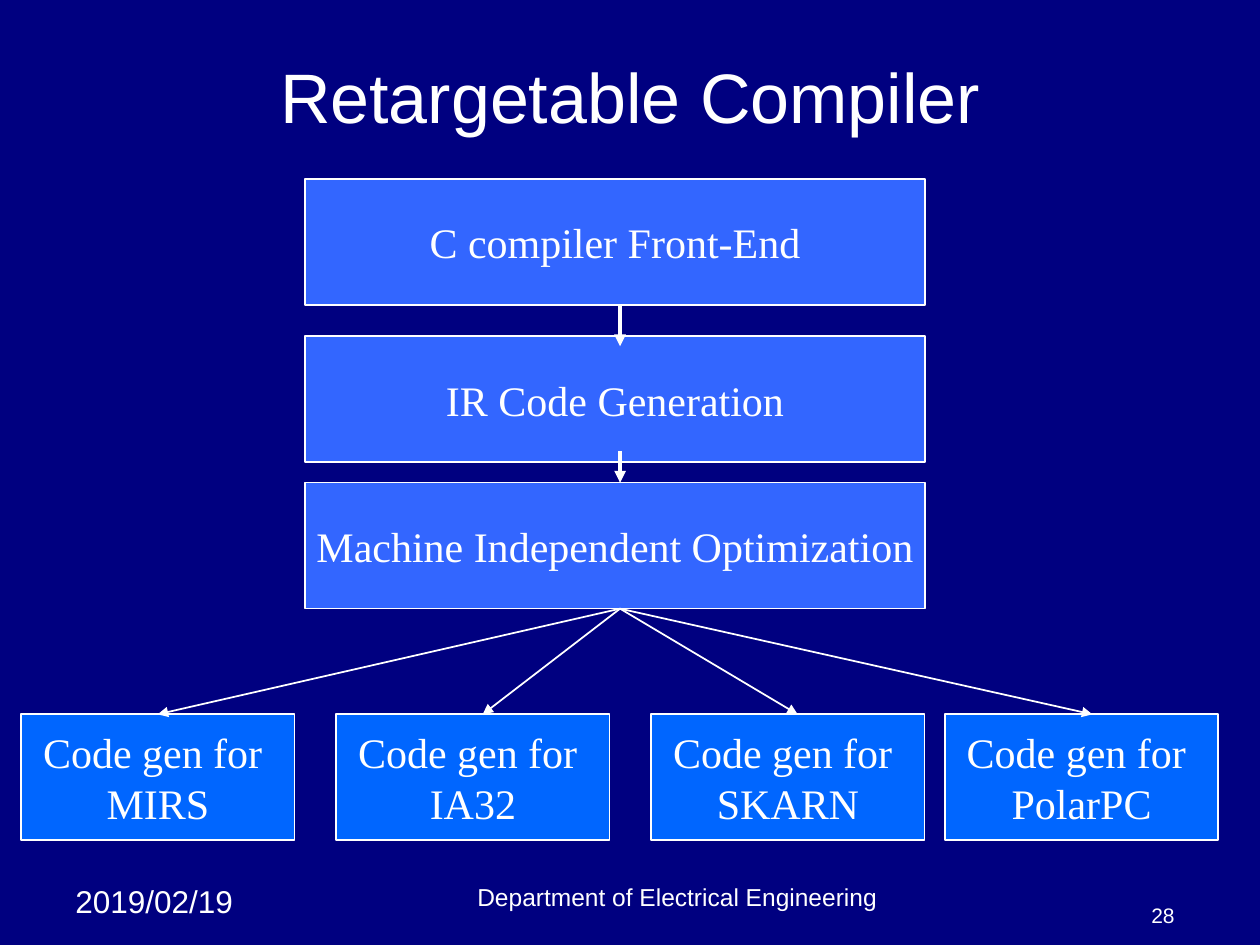
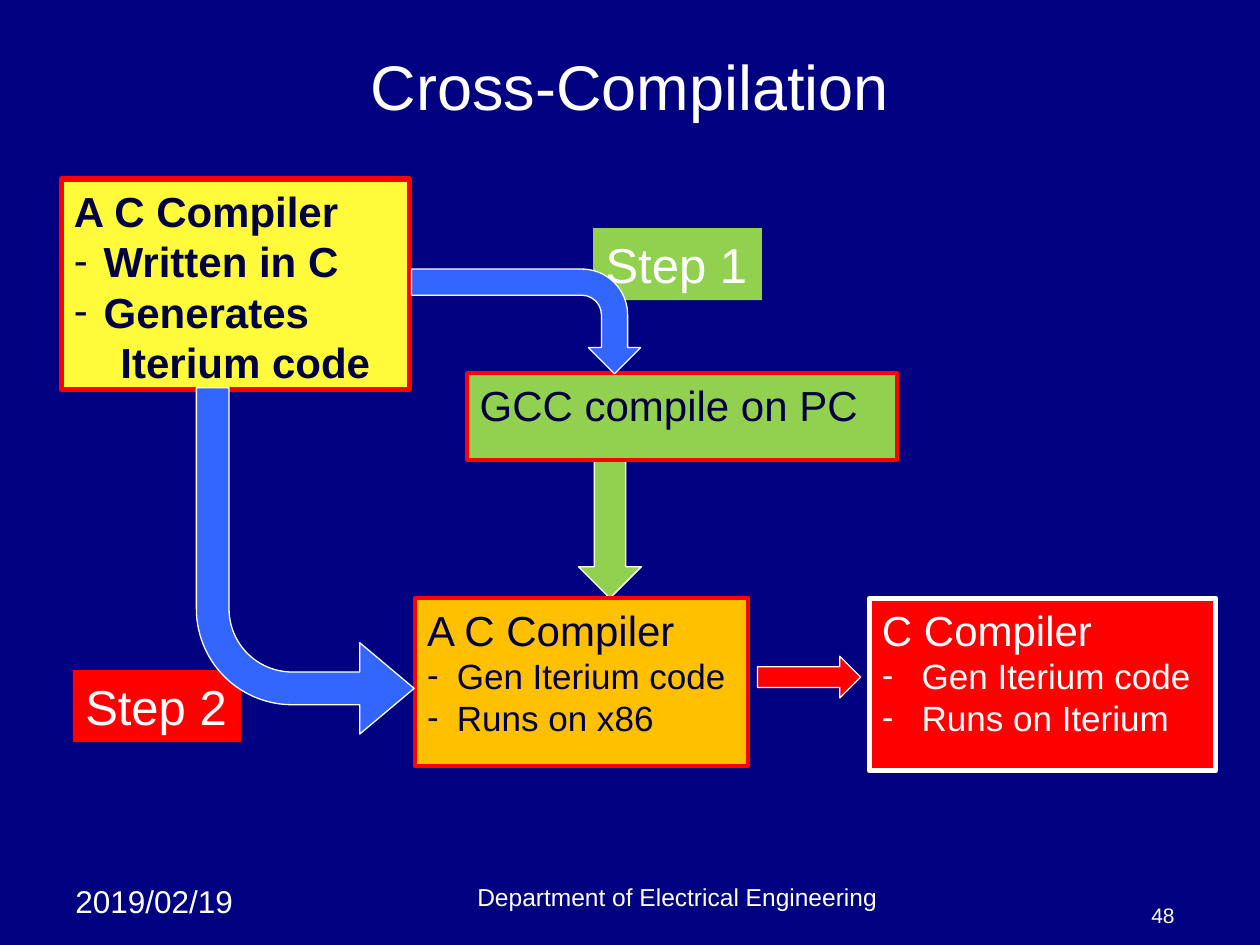
from dataclasses import dataclass
from typing import Any, Optional

import pptx
import pptx.dml.color
import pptx.enum.shapes
import pptx.enum.text
import pptx.oxml.ns
import pptx.util
from lxml import etree

Cm = pptx.util.Cm
Pt = pptx.util.Pt
RGBColor = pptx.dml.color.RGBColor
Shape = pptx.enum.shapes.MSO_SHAPE
Align = pptx.enum.text.PP_ALIGN
Anchor = pptx.enum.text.MSO_ANCHOR
qn = pptx.oxml.ns.qn

NAVY = RGBColor(0x00, 0x00, 0x80)
INK = RGBColor(0x00, 0x00, 0x40)
WHITE = RGBColor(0xFF, 0xFF, 0xFF)
BLUE = RGBColor(0x33, 0x66, 0xFF)
BRIGHT_BLUE = RGBColor(0x00, 0x66, 0xFF)
YELLOW = RGBColor(0xFF, 0xFB, 0x3B)
GREEN = RGBColor(0x92, 0xD0, 0x50)
AMBER = RGBColor(0xFF, 0xC0, 0x00)
RED = RGBColor(0xFF, 0x00, 0x00)

SANS = "Arial"
SERIF = "Times New Roman"


@dataclass(frozen=True)
class Frame:
    """A position and size in centimetres."""
    left: float
    top: float
    width: float
    height: float

    def lengths(self) -> tuple:
        return Cm(self.left), Cm(self.top), Cm(self.width), Cm(self.height)


@dataclass(frozen=True)
class Line:
    """One paragraph; a dash bullet hangs in the indent (centimetres)."""
    text: str
    size: float = 24
    indent: float = 0
    dash: bool = False


@dataclass(frozen=True)
class TextStyle:
    color: RGBColor = WHITE
    font: str = SANS
    bold: bool = False
    align: Any = Align.LEFT
    anchor: Any = Anchor.TOP
    wrap: bool = True


@dataclass(frozen=True)
class Box:
    frame: Frame
    fill: RGBColor
    lines: tuple[Line, ...]
    style: TextStyle
    border: Optional[RGBColor] = None
    border_width: float = 1


@dataclass(frozen=True)
class BlockArrow:
    frame: Frame
    kind: Any
    fill: RGBColor
    rotation: float = 0
    flipped: bool = False
    adjustments: tuple[float, ...] = ()


@dataclass(frozen=True)
class Arrow:
    start: tuple[float, float]
    end: tuple[float, float]
    width: float


CENTERED = TextStyle(align=Align.CENTER, anchor=Anchor.MIDDLE)
STAGE_TEXT = TextStyle(font=SERIF, align=Align.CENTER, anchor=Anchor.MIDDLE, wrap=False)
FOOTER_TEXT = TextStyle(align=Align.CENTER, anchor=Anchor.BOTTOM)
NUMBER_TEXT = TextStyle(align=Align.RIGHT, anchor=Anchor.BOTTOM)
DARK_TEXT = TextStyle(color=INK)
STEP_TEXT = TextStyle(wrap=False)


def assign(target: Any, values: dict[str, Any]) -> None:
    for name, value in values.items():
        setattr(target, name, value)


def add_dash(para: Any, indent: float) -> None:
    properties = para._p.get_or_add_pPr()
    properties.set("indent", str(-Cm(indent)))
    etree.SubElement(properties, qn("a:buFont")).set("typeface", SANS)
    etree.SubElement(properties, qn("a:buChar")).set("char", "-")


def write_lines(shape: Any, lines: tuple[Line, ...], style: TextStyle) -> None:
    frame = shape.text_frame
    assign(frame, {"word_wrap": style.wrap, "vertical_anchor": style.anchor})
    for number, line in enumerate(lines):
        para = frame.add_paragraph() if number else frame.paragraphs[0]
        para.alignment = style.align
        if line.indent:
            para._p.get_or_add_pPr().set("marL", str(Cm(line.indent)))
        if line.dash:
            add_dash(para, line.indent)
        span = para.add_run()
        span.text = line.text
        assign(span.font, {"name": style.font, "size": Pt(line.size), "bold": style.bold})
        span.font.color.rgb = style.color


def add_label(page: Any, frame: Frame, text: str, size: float, style: TextStyle) -> None:
    label = page.shapes.add_textbox(*frame.lengths())
    write_lines(label, (Line(text, size),), style)


def paint(shape: Any, fill: RGBColor, border: Optional[RGBColor], width: float) -> None:
    shape.shadow.inherit = False
    shape.fill.solid()
    shape.fill.fore_color.rgb = fill
    if border is None:
        shape.line.fill.background()
    else:
        shape.line.color.rgb = border
        shape.line.width = Pt(width)


def add_box(page: Any, box: Box) -> None:
    shape = page.shapes.add_shape(Shape.RECTANGLE, *box.frame.lengths())
    paint(shape, box.fill, box.border, box.border_width)
    write_lines(shape, box.lines, box.style)


def add_block_arrow(page: Any, arrow: BlockArrow) -> None:
    shape = page.shapes.add_shape(arrow.kind, *arrow.frame.lengths())
    paint(shape, arrow.fill, WHITE, 0.75)
    shape.rotation = arrow.rotation
    for number, value in enumerate(arrow.adjustments):
        shape.adjustments[number] = value
    if arrow.flipped:
        shape.element.spPr.find(qn("a:xfrm")).set("flipV", "1")


def add_arrow(page: Any, arrow: Arrow) -> None:
    ends = [Cm(value) for value in (*arrow.start, *arrow.end)]
    connector = page.shapes.add_connector(pptx.enum.shapes.MSO_CONNECTOR.STRAIGHT, *ends)
    connector.line.color.rgb = WHITE
    connector.line.width = Pt(arrow.width)
    etree.SubElement(connector.line._get_or_add_ln(), qn("a:tailEnd")).set("type", "triangle")
    etree.SubElement(connector.element.spPr, qn("a:effectLst"))


def add_page(deck: Any, title: str, title_size: float, title_height: float, number: int) -> Any:
    """Add a blank page with the title and the footer row."""
    page = deck.slides.add_slide(deck.slide_layouts[6])
    add_label(page, Frame(1.27, 17.65, 4.01, 1.02), "2019/02/19", 18, TextStyle())
    add_label(page, Frame(5.08, 17.65, 17.15, 0.84),
              "Department of Electrical Engineering", 14, FOOTER_TEXT)
    add_label(page, Frame(22.23, 17.98, 1.7, 0.84), str(number), 12, NUMBER_TEXT)
    add_label(page, Frame(1.27, 0.76, 22.86, title_height), title, title_size, CENTERED)
    return page


def build_retargetable_compiler(deck: Any) -> None:
    page = add_page(deck, "Retargetable Compiler", 40, 2.34, 28)
    height, trunk, target_top = 2.54, 12.5, 14.4
    stages = (
        (3.61, "C compiler Front-End"),
        (6.78, "IR Code Generation"),
        (9.73, "Machine Independent Optimization"),
    )
    targets = (
        (0.43, 3.18, "MIRS"),
        (6.78, 9.73, "IA32"),
        (13.13, 16.08, "SKARN"),
        (19.05, 22.02, "PolarPC"),
    )
    for top, text in stages:
        add_box(page, Box(Frame(6.15, top, 12.5, height), BLUE,
                          (Line(text),), STAGE_TEXT, WHITE))
    for start, end in ((9.09, 9.73), (6.15, 6.98)):
        add_arrow(page, Arrow((trunk, start), (trunk, end), 2.25))
    for left, tip, name in targets:
        add_box(page, Box(Frame(left, target_top, 5.51, height), BRIGHT_BLUE,
                          (Line("Code gen for "), Line(name)), STAGE_TEXT, WHITE))
        add_arrow(page, Arrow((trunk, stages[-1][0] + height), (tip, target_top), 1))


def build_cross_compilation(deck: Any) -> None:
    page = add_page(deck, "Cross-Compilation", 36, 1.91, 48)
    compile_arrow = BlockArrow(Frame(10.9, 10.03, 2.79, 1.27), Shape.RIGHT_ARROW, GREEN, 90)
    boxes = (
        Box(Frame(1.24, 3.61, 7.01, 4.24), YELLOW,
            (Line("A C Compiler"), Line("Written in C", indent=0.6, dash=True),
             Line("Generates", indent=0.6, dash=True), Line("Iterium code", indent=0.94)),
            TextStyle(color=INK, bold=True), RED, 3),
        Box(Frame(9.42, 7.52, 8.66, 1.75), GREEN,
            (Line("GCC compile on PC"),), DARK_TEXT, RED, 2.25),
        Box(Frame(8.36, 12.06, 6.73, 3.38), AMBER,
            (Line("A C Compiler"), Line("Gen Iterium code", 20, 0.6, True),
             Line("Runs on x86", 20, 0.6, True)), DARK_TEXT, RED, 2.25),
        Box(Frame(17.53, 12.06, 6.98, 3.48), RED,
            (Line("C Compiler"), Line("Gen Iterium code", 20, 0.8, True),
             Line("Runs on Iterium", 20, 0.8, True)), TextStyle(), WHITE, 3),
        Box(Frame(11.96, 4.6, 3.4, 1.45), GREEN, (Line("Step 1", 28),), STEP_TEXT),
        Box(Frame(1.47, 13.51, 3.4, 1.45), RED, (Line("Step 2", 28),), STEP_TEXT),
    )
    flow_arrows = (
        BlockArrow(Frame(15.27, 13.23, 2.08, 0.84), Shape.RIGHT_ARROW, RED),
        BlockArrow(Frame(9.55, 4.17, 2.11, 4.62), Shape.BENT_ARROW, BLUE, 90),
        BlockArrow(Frame(3.96, 7.82, 4.39, 6.98), Shape.BENT_ARROW, BLUE,
                   flipped=True, adjustments=(0.15, 0.21, 0.25, 0.44)),
    )
    add_block_arrow(page, compile_arrow)
    for box in boxes:
        add_box(page, box)
    for arrow in flow_arrows:
        add_block_arrow(page, arrow)


def main() -> None:
    deck = pptx.Presentation()
    assign(deck, {"slide_width": Cm(25.4), "slide_height": Cm(19.05)})
    background = deck.slide_master.background.fill
    background.solid()
    background.fore_color.rgb = NAVY
    build_retargetable_compiler(deck)
    build_cross_compilation(deck)
    deck.save("out.pptx")


if __name__ == "__main__":
    main()
